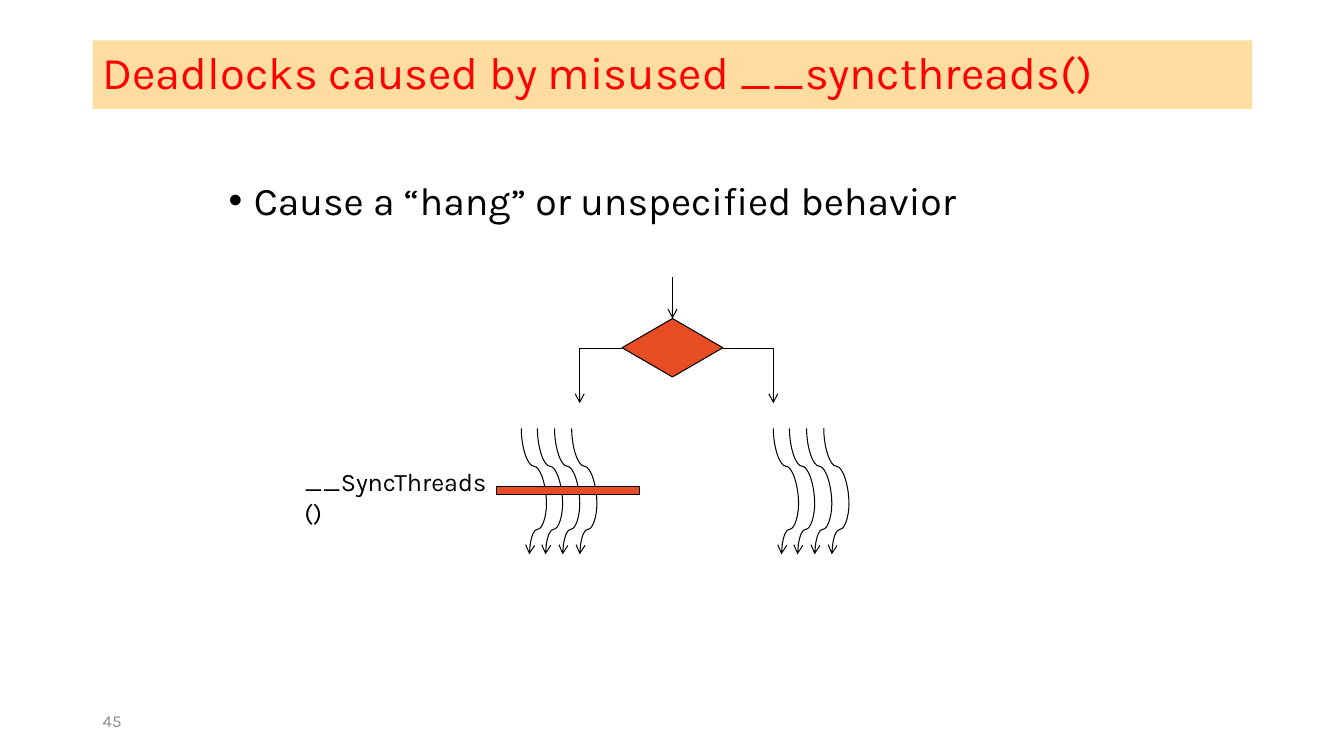
import dataclasses

import lxml.etree
import pptx
import pptx.dml.color
import pptx.enum.shapes
import pptx.enum.text
import pptx.oxml.ns
import pptx.util

EMU_PER_PX = 9144
SHAPE = pptx.enum.shapes.MSO_SHAPE
CONNECTOR = pptx.enum.shapes.MSO_CONNECTOR
ANCHOR = pptx.enum.text.MSO_ANCHOR
qn = pptx.oxml.ns.qn


@dataclasses.dataclass(frozen=True)
class Theme:
    font: str = "Karla"
    ink: str = "000000"
    title_ink: str = "FF0000"
    title_fill: str = "FFBD47"
    accent: str = "E84C22"
    muted: str = "8C8C8C"
    title_size: float = 32.4
    body_size: float = 28
    label_size: float = 18
    number_size: float = 12
    line_width: float = 0.75


THEME = Theme()


def px(value):
    return pptx.util.Emu(round(value * EMU_PER_PX))


def rgb(color):
    return pptx.dml.color.RGBColor.from_string(color)


def add_element(parent, tag, **attributes):
    return lxml.etree.SubElement(parent, qn(tag), attributes)


def set_line(line):
    line.color.rgb = rgb(THEME.ink)
    line.width = pptx.util.Pt(THEME.line_width)


def add_block(slide, kind, left, top, width, height, fill, outlined=True):
    sp = slide.shapes.add_shape(kind, px(left), px(top), px(width), px(height))
    sp.shadow.inherit = False
    sp.fill.solid()
    sp.fill.fore_color.rgb = rgb(fill)
    if outlined:
        set_line(sp.line)
    else:
        sp.line.fill.background()
    return sp


def set_opacity(sp, percent):
    color = sp._element.spPr.find(qn("a:solidFill"))[0]
    add_element(color, "a:alpha", val=str(percent * 1000))


def write_text(sp, text, size, color, anchor=ANCHOR.TOP, spacing=1.0, bullet_indent=0):
    tf = sp.text_frame
    tf.word_wrap = True
    tf.vertical_anchor = anchor
    p = tf.paragraphs[0]
    p.alignment = pptx.enum.text.PP_ALIGN.LEFT
    p.line_spacing = spacing
    if bullet_indent:
        pPr = p._p.get_or_add_pPr()
        pPr.set("marL", str(px(bullet_indent)))
        pPr.set("indent", str(-px(bullet_indent)))
        add_element(pPr, "a:buFont", typeface="Arial")
        add_element(pPr, "a:buChar", char="•")
    r = p.add_run()
    r.text = text
    r.font.name = THEME.font
    r.font.size = pptx.util.Pt(size)
    r.font.color.rgb = rgb(color)


def add_text(slide, left, top, width, height, *args, **kwargs):
    sp = slide.shapes.add_textbox(px(left), px(top), px(width), px(height))
    write_text(sp, *args, **kwargs)


def add_line(slide, kind, x1, y1, x2, y2, arrow=True):
    line = slide.shapes.add_connector(kind, px(x1), px(y1), px(x2), px(y2))
    set_line(line.line)
    if arrow:
        add_element(line.line._get_or_add_ln(), "a:tailEnd", type="arrow")
    add_element(line._element.spPr, "a:effectLst")
    return line


def add_branch(slide, x1, y1, x2, y2):
    line = add_line(slide, CONNECTOR.ELBOW, x1, y1, x2, y2)
    line._element.spPr.find(qn("a:prstGeom")).set("prst", "bentConnector2")


def add_downward_curve(slide, x1, y1, x2, y2, arrow):
    center_x, center_y = (x1 + x2) / 2, (y1 + y2) / 2
    half_length, half_drift = (y2 - y1) / 2, (x2 - x1) / 2
    line = add_line(slide, CONNECTOR.CURVE,
                    center_x - half_length, center_y + half_drift,
                    center_x + half_length, center_y - half_drift, arrow)
    line._element.spPr.find(qn("a:xfrm")).set("rot", str(90 * 60000))


def add_threads(slide, left, count=4):
    for i in range(count):
        x = left + 50 * i // 3
        add_downward_curve(slide, x, 425, x + 25, 500, arrow=False)
        add_downward_curve(slide, x + 25, 500, x + 8, 550, arrow=True)


def main():
    prs = pptx.Presentation()
    prs.slide_width, prs.slide_height = px(1333), px(750)
    slide = prs.slides.add_slide(prs.slide_layouts[6])

    title = add_block(slide, SHAPE.RECTANGLE, 92, 40, 1150, 68, THEME.title_fill, outlined=False)
    set_opacity(title, 51)
    write_text(title, "Deadlocks caused by misused __syncthreads()",
               THEME.title_size, THEME.title_ink, ANCHOR.MIDDLE, 0.9)
    add_text(slide, 217, 175, 900, 250, "Cause a “hang” or unspecified behavior",
             THEME.body_size, THEME.ink, spacing=0.9, bullet_indent=25)
    add_text(slide, 92, 695, 300, 40, "45", THEME.number_size, THEME.muted, ANCHOR.MIDDLE)

    for left in (767, 517):
        add_threads(slide, left)

    decision = add_block(slide, SHAPE.DIAMOND, 617, 316, 100, 58, THEME.accent)
    entry = add_line(slide, CONNECTOR.STRAIGHT, 667, 275, 667, 316)
    entry.end_connect(decision, 0)
    add_branch(slide, 617, 346, 575, 400)
    add_branch(slide, 717, 346, 767, 400)

    add_block(slide, SHAPE.RECTANGLE, 492, 483, 142, 8, THEME.accent)
    add_text(slide, 292, 458, 206, 40, "__SyncThreads()", THEME.label_size, THEME.ink)

    prs.save("out.pptx")


if __name__ == "__main__":
    main()
